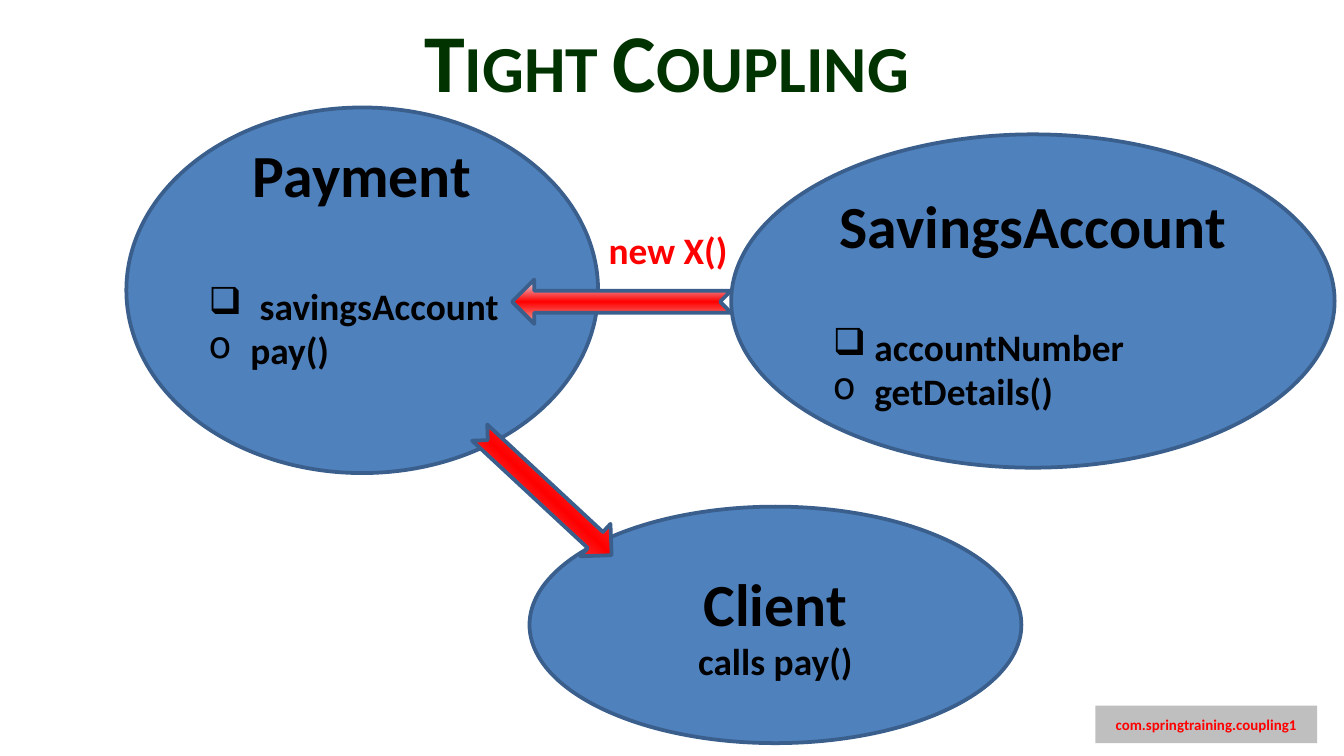
from copy import deepcopy

from lxml.etree import SubElement
from pptx import Presentation
from pptx.dml.color import RGBColor
from pptx.enum.shapes import MSO_SHAPE
from pptx.enum.text import MSO_ANCHOR, PP_ALIGN
from pptx.oxml.ns import qn
from pptx.util import Inches, Pt

COLORS = {
    "ellipse": "4F81BD", "outline": "3A5F8C", "text": "000000", "title": "003300",
    "red": "FF0000", "arrow_start": "EFA59F", "arrow_end": "E1E8F5", "tag": "BFBFBF",
}


def add_box(kind, place, fill=None, line=None):
    box = page.shapes.add_shape(kind, *[Inches(value) for value in place])
    box.shadow.inherit = False
    if fill:
        box.fill.solid()
        box.fill.fore_color.rgb = RGBColor.from_string(COLORS[fill])
    if line:
        box.line.color.rgb = RGBColor.from_string(COLORS[line])
        box.line.width = Pt(2)
    else:
        box.line.fill.background()
    return box


def write_line(box, para, text, size, color, bullet=None, indent=0, gap=0):
    box.text_frame.word_wrap = True
    box.text_frame.vertical_anchor = MSO_ANCHOR.MIDDLE
    para.text = text
    para.alignment = PP_ALIGN.LEFT if bullet else PP_ALIGN.CENTER
    if gap:
        para.space_before = Pt(gap)
    if bullet:
        properties = para._p.get_or_add_pPr()
        properties.set("marL", str(Inches(indent)))
        properties.set("indent", str(-Inches(indent)))
        SubElement(properties, qn("a:buChar")).set("char", bullet)
    para.font.name = "Calibri"
    para.font.size = Pt(size)
    para.font.bold = True
    para.font.color.rgb = RGBColor.from_string(COLORS[color])


deck = Presentation()
deck.slide_width, deck.slide_height = Inches(10), Inches(10 * 9 / 16)
page = deck.slides.add_slide(deck.slide_layouts[6])

classes = [
    ((0.94, 0.8, 3.51, 2.72), 0.57, [
        ("Payment", 32, None, 0, 0),
        ("savingsAccount", 20, "❑", 0.38, 39),
        ("pay()", 20, "o", 0.31, 0),
    ]),
    ((5.44, 1, 4.49, 2.48), 0.05, [
        ("SavingsAccount", 32, None, 0, 0),
        ("accountNumber", 20, "❑", 0.31, 34),
        ("getDetails()", 20, "o", 0.31, 0),
    ]),
    ((3.94, 3.77, 3.66, 1.76), 0.05, [
        ("Client", 32, None, 0, 0),
        ("calls pay()", 20, None, 0, 0),
    ]),
]
for place, bottom, lines in classes:
    ellipse = add_box(MSO_SHAPE.OVAL, place, "ellipse", "outline")
    frame = ellipse.text_frame
    frame.margin_bottom = Inches(bottom)
    for number, (text, size, bullet, indent, gap) in enumerate(lines):
        para = frame.add_paragraph() if number else frame.paragraphs[0]
        write_line(ellipse, para, text, size, "text", bullet, indent, gap)

for place, rotation in [((3.81, 2.08, 1.63, 0.33), 180), ((3.39, 3.51, 1.34, 0.33), 42.9)]:
    arrow = add_box(MSO_SHAPE.NOTCHED_RIGHT_ARROW, place, line="outline")
    arrow.rotation = rotation
    arrow.fill.gradient()
    arrow.fill.gradient_angle = 270
    stop_list = arrow._element.spPr.find(qn("a:gradFill")).find(qn("a:gsLst"))
    stop_list.insert(1, deepcopy(stop_list[0]))
    for stop, position, color in zip(
        arrow.fill.gradient_stops, (0, 0.5, 1), ("arrow_start", "red", "arrow_end")
    ):
        stop.position = position
        stop.color.rgb = RGBColor.from_string(COLORS[color])

title = page.shapes.add_textbox(Inches(-0.04), Inches(-0.01), Inches(10), Inches(0.91))
write_line(title, title.text_frame.paragraphs[0], "Tight Coupling", 44, "title")
title.text_frame.paragraphs[0].runs[0].font._element.set("cap", "small")

label = page.shapes.add_textbox(Inches(4.43), Inches(1.64), Inches(1.12), Inches(0.44))
write_line(label, label.text_frame.paragraphs[0], "new X()", 20, "red")
label.text_frame.paragraphs[0].alignment = PP_ALIGN.LEFT

tag = add_box(MSO_SHAPE.RECTANGLE, (8.15, 5.25, 1.65, 0.28), "tag")
write_line(tag, tag.text_frame.paragraphs[0], "com.springtraining.coupling1", 8, "red")

deck.save("out.pptx")
